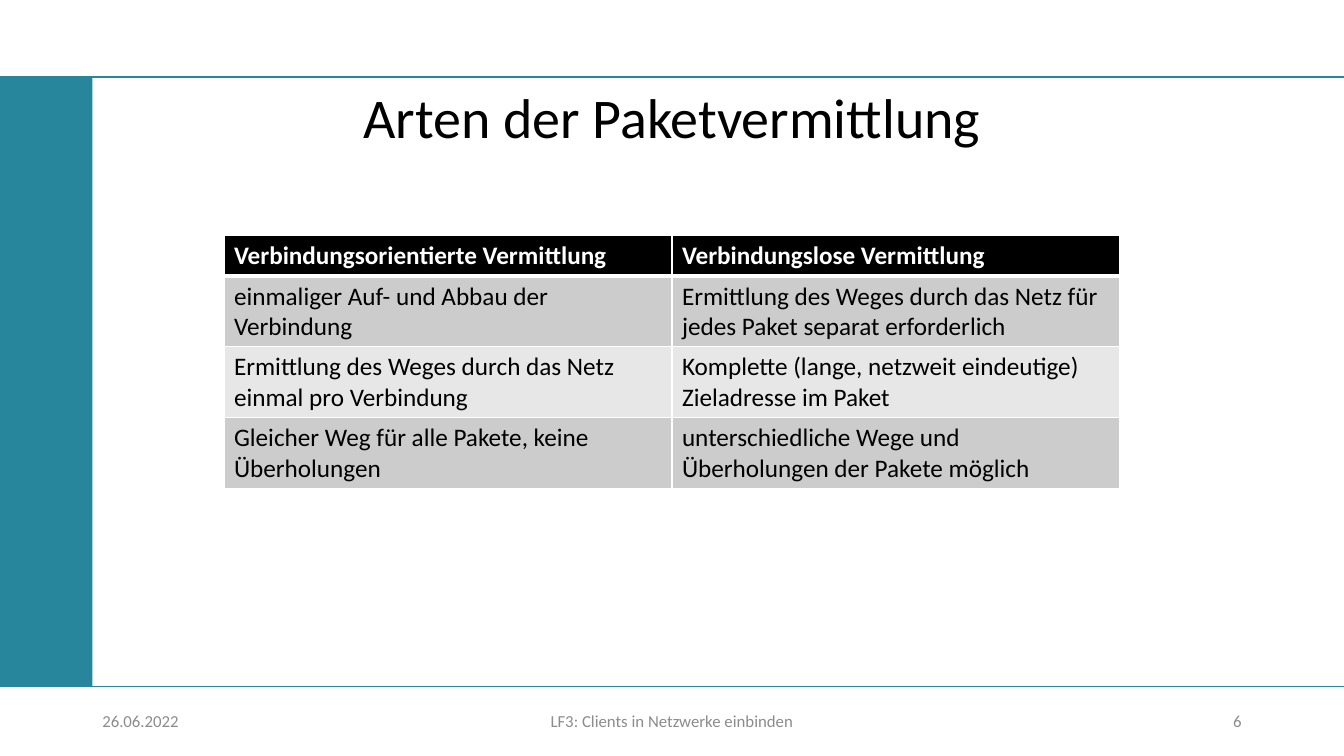
from dataclasses import dataclass

import lxml.etree
import pptx
import pptx.dml.color
import pptx.enum.shapes
import pptx.enum.text
import pptx.oxml.ns
import pptx.shapes.autoshape
import pptx.slide
import pptx.table
import pptx.text.text
import pptx.util

Pt = pptx.util.Pt
RGBColor = pptx.dml.color.RGBColor
Align = pptx.enum.text.PP_ALIGN
Anchor = pptx.enum.text.MSO_ANCHOR
qn = pptx.oxml.ns.qn

TEAL = RGBColor(0x27, 0x85, 0x9C)
GREY = RGBColor(0x8C, 0x8C, 0x8C)
BLACK = RGBColor(0, 0, 0)
WHITE = RGBColor(255, 255, 255)
BAND_DARK = RGBColor(0xCC, 0xCC, 0xCC)
BAND_LIGHT = RGBColor(0xE7, 0xE7, 0xE7)

FONT = "Calibri"
SLIDE_WIDTH, SLIDE_HEIGHT = 960, 540
RULE_TOP, RULE_BOTTOM = 55, 490.5
SIDEBAR_WIDTH = 66
FOOTER_TOP, FOOTER_HEIGHT = 500.5, 28.75
COLUMN_WIDTH = 320
HEADER_HEIGHT, BODY_HEIGHT = 29.2, 50.5


@dataclass(frozen=True)
class FooterItem:
    text: str
    left: float
    width: float
    align: Align


@dataclass(frozen=True)
class RowStyle:
    fill: RGBColor
    color: RGBColor
    bold: bool
    top_border: float
    bottom_border: float


FOOTER = [
    FooterItem("26.06.2022", 66, 216, Align.LEFT),
    FooterItem("LF3: Clients in Netzwerke einbinden", 318, 324, Align.CENTER),
    FooterItem("6", 678, 216, Align.RIGHT),
]

COMPARISON = [
    ("Verbindungsorientierte Vermittlung", "Verbindungslose Vermittlung"),
    ("einmaliger Auf- und Abbau der Verbindung",
     "Ermittlung des Weges durch das Netz für jedes Paket separat erforderlich"),
    ("Ermittlung des Weges durch das Netz einmal pro Verbindung",
     "Komplette (lange, netzweit eindeutige) Zieladresse im Paket"),
    ("Gleicher Weg für alle Pakete, keine Überholungen",
     "unterschiedliche Wege und Überholungen der Pakete möglich"),
]


def add_run(paragraph: pptx.text.text._Paragraph, text: str, size: float,
            color: RGBColor, bold: bool = False) -> None:
    run = paragraph.add_run()
    run.text = text
    run.font.name = FONT
    run.font.size = Pt(size)
    run.font.bold = bold
    run.font.color.rgb = color


def add_rule(slide: pptx.slide.Slide, top: float) -> None:
    rule = slide.shapes.add_connector(
        pptx.enum.shapes.MSO_CONNECTOR.STRAIGHT, 0, Pt(top), Pt(SLIDE_WIDTH), Pt(top))
    rule.line.color.rgb = TEAL
    rule.line.width = Pt(1)
    lxml.etree.SubElement(rule._element.spPr, qn("a:effectLst"))


def add_sidebar(slide: pptx.slide.Slide) -> None:
    sidebar = slide.shapes.add_shape(
        pptx.enum.shapes.MSO_SHAPE.RECTANGLE,
        0, Pt(RULE_TOP), Pt(SIDEBAR_WIDTH), Pt(RULE_BOTTOM - RULE_TOP))
    sidebar.shadow.inherit = False
    sidebar.fill.solid()
    sidebar.fill.fore_color.rgb = TEAL
    sidebar.line.fill.background()


def add_footer_item(slide: pptx.slide.Slide, item: FooterItem) -> None:
    frame = slide.shapes.add_textbox(
        Pt(item.left), Pt(FOOTER_TOP), Pt(item.width), Pt(FOOTER_HEIGHT)).text_frame
    frame.word_wrap = True
    frame.vertical_anchor = Anchor.MIDDLE
    frame.paragraphs[0].alignment = item.align
    add_run(frame.paragraphs[0], item.text, 12, GREY)


def set_title(slide: pptx.slide.Slide, text: str) -> None:
    title = slide.shapes.title
    title.left, title.top, title.width, title.height = Pt(120), Pt(60.5), Pt(720), Pt(51)
    frame = title.text_frame
    frame.word_wrap = True
    frame.auto_size = pptx.enum.text.MSO_AUTO_SIZE.NONE
    frame.vertical_anchor = Anchor.BOTTOM
    paragraph = frame.paragraphs[0]
    paragraph.alignment = Align.CENTER
    paragraph.line_spacing = 0.9
    add_run(paragraph, text, 40, BLACK)


def set_borders(cell: pptx.table._Cell, style: RowStyle) -> None:
    properties = cell._tc.get_or_add_tcPr()
    widths = {"L": 1, "R": 1, "T": style.top_border, "B": style.bottom_border}
    for side, width in widths.items():
        border = lxml.etree.SubElement(properties, qn(f"a:ln{side}"), w=str(Pt(width)))
        fill = lxml.etree.SubElement(border, qn("a:solidFill"))
        lxml.etree.SubElement(fill, qn("a:srgbClr"), val=str(WHITE))


def fill_cell(cell: pptx.table._Cell, text: str, style: RowStyle) -> None:
    set_borders(cell, style)
    cell.fill.solid()
    cell.fill.fore_color.rgb = style.fill
    add_run(cell.text_frame.paragraphs[0], text, 18, style.color, style.bold)


def row_style(index: int) -> RowStyle:
    if index == 0:
        return RowStyle(BLACK, WHITE, True, 1, 3)
    band = BAND_DARK if index % 2 else BAND_LIGHT
    return RowStyle(band, BLACK, False, 3 if index == 1 else 1, 1)


def add_comparison(slide: pptx.slide.Slide) -> None:
    body_rows = len(COMPARISON) - 1
    table = slide.shapes.add_table(
        len(COMPARISON), 2, Pt(160), Pt(168), Pt(2 * COLUMN_WIDTH),
        Pt(HEADER_HEIGHT + body_rows * BODY_HEIGHT)).table
    for column in table.columns:
        column.width = Pt(COLUMN_WIDTH)
    for index, texts in enumerate(COMPARISON):
        table.rows[index].height = Pt(BODY_HEIGHT if index else HEADER_HEIGHT)
        for column_index, text in enumerate(texts):
            fill_cell(table.cell(index, column_index), text, row_style(index))


presentation = pptx.Presentation()
presentation.slide_width = Pt(SLIDE_WIDTH)
presentation.slide_height = Pt(SLIDE_HEIGHT)
slide = presentation.slides.add_slide(presentation.slide_layouts.get_by_name("Title Only"))

for rule_top in (RULE_TOP, RULE_BOTTOM):
    add_rule(slide, rule_top)
add_sidebar(slide)
for footer_item in FOOTER:
    add_footer_item(slide, footer_item)
set_title(slide, "Arten der Paketvermittlung")
add_comparison(slide)

presentation.save("out.pptx")
